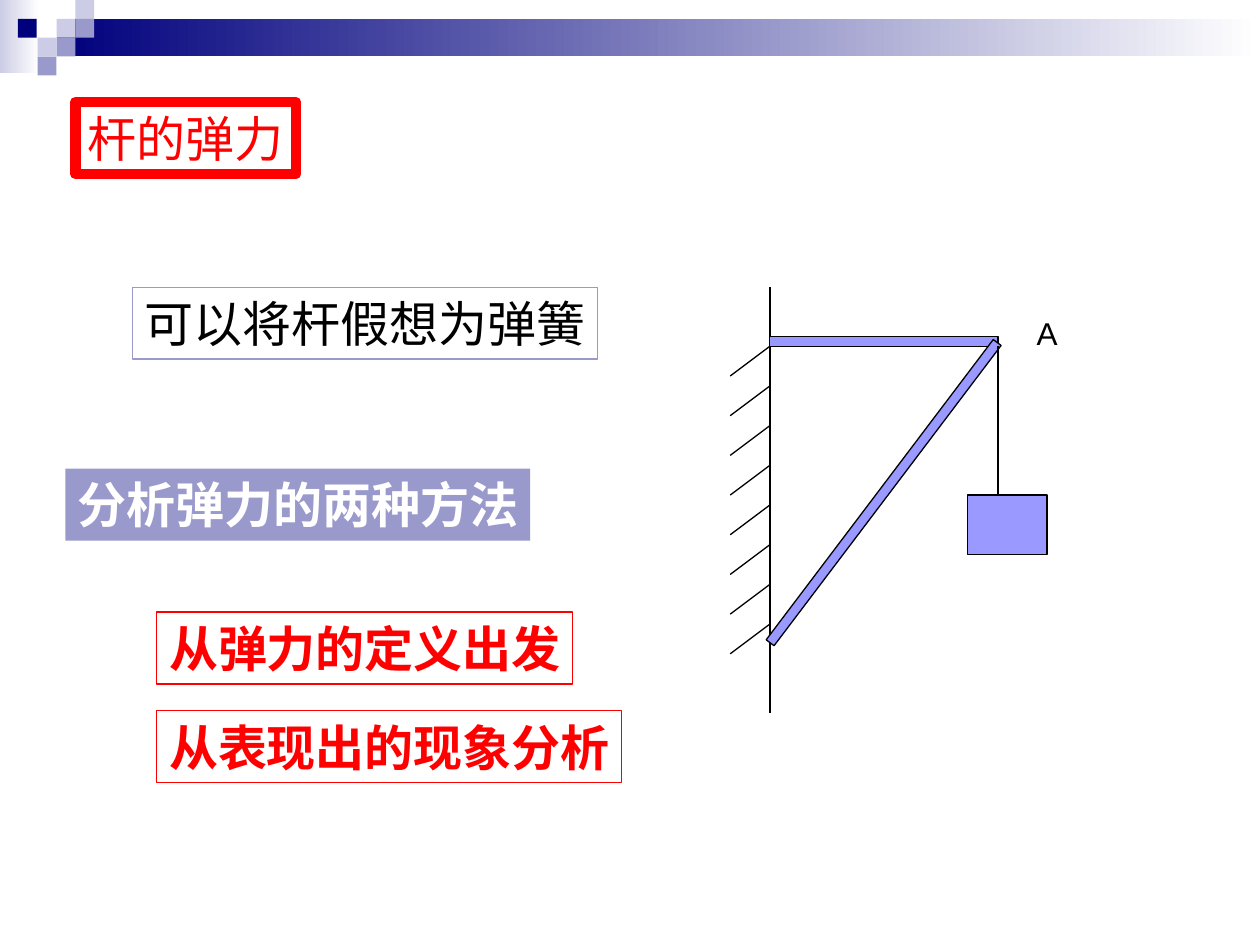
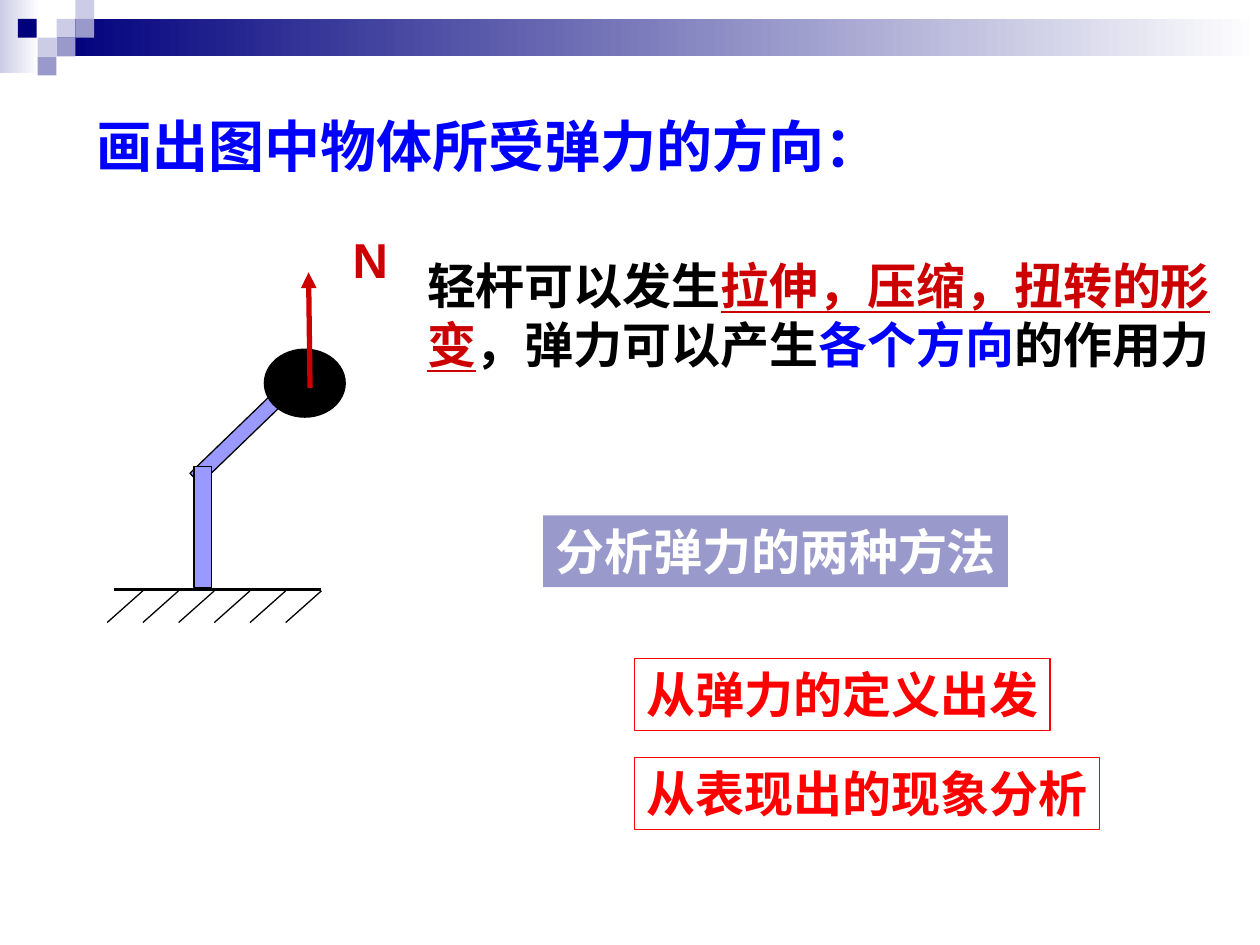
import dataclasses

import pptx
import pptx.dml.color
import pptx.enum.shapes
import pptx.enum.text
import pptx.oxml
import pptx.oxml.ns
import pptx.util

Cm = pptx.util.Cm
Pt = pptx.util.Pt
FORM = pptx.enum.shapes.MSO_SHAPE


@dataclasses.dataclass(frozen=True)
class Theme:
    navy: str = "00007D"
    mid: str = "9999CC"
    pale: str = "CCCCE6"
    rod: str = "9999FF"
    red: str = "FF0000"
    force: str = "CC0000"
    blue: str = "0000FF"
    black: str = "000000"
    white: str = "FFFFFF"
    latin: str = "Arial"
    serif: str = "Times New Roman"
    asian: str = "Noto Sans CJK SC"
    title: int = 32
    body: int = 28
    label: int = 18
    thin: float = 0.75


THEME = Theme()


def rgb(code):
    return pptx.dml.color.RGBColor.from_string(code)


def element(tag):
    space = pptx.oxml.ns.nsdecls("a")
    return pptx.oxml.parse_xml(f"<a:{tag} {space}/>")


# Shapes and lines
def block(pad, box, fill=None, line=None, width=THEME.thin, turn=0,
          form=FORM.RECTANGLE):
    shape = pad.add_shape(form, *map(Cm, box))
    shape.shadow.inherit = False
    shape.rotation = turn
    if fill:
        shape.fill.solid()
        shape.fill.fore_color.rgb = rgb(fill)
    else:
        shape.fill.background()
    if line:
        shape.line.color.rgb = rgb(line)
        shape.line.width = Pt(width)
    else:
        shape.line.fill.background()
    return shape


def fade(pad, box, start):
    shape = block(pad, box)
    shape.fill.gradient()
    shape.fill.gradient_angle = 0
    for stop, code in zip(shape.fill.gradient_stops, (start, THEME.white)):
        stop.color.rgb = rgb(code)


def part(pad, box, turn=0):
    return block(pad, box, THEME.rod, THEME.black, turn=turn)


def stroke(pad, start, end, color=THEME.black, width=THEME.thin, arrow=False):
    kind = pptx.enum.shapes.MSO_CONNECTOR.STRAIGHT
    line = pad.add_connector(kind, *map(Cm, start + end))
    line.line.color.rgb = rgb(color)
    line.line.width = Pt(width)
    if arrow:
        tip = element("tailEnd")
        tip.set("type", "triangle")
        line.line._get_or_add_ln().append(tip)
    line._element.spPr.append(element("effectLst"))


def hatch(pad, start, step, slant, count):
    for i in range(count):
        x, y = start[0] + i * step[0], start[1] + i * step[1]
        stroke(pad, (x, y), (x + slant[0], y + slant[1]))


# Text
def style(run, size, color, bold, face, under=False):
    font = run.font
    font.size = Pt(size)
    font.bold = bold
    font.name = face
    font.color.rgb = rgb(color)
    if under:
        font.underline = True
    asian = element("ea")
    asian.set("typeface", THEME.asian)
    font._element.find(pptx.oxml.ns.qn("a:latin")).addnext(asian)


def write(shape, text, color, size=THEME.body, bold=True, face=THEME.latin,
          wrap=False):
    frame = shape.text_frame
    frame.text = text
    frame.word_wrap = wrap
    frame.vertical_anchor = pptx.enum.text.MSO_ANCHOR.TOP
    para = frame.paragraphs[0]
    para.alignment = pptx.enum.text.PP_ALIGN.LEFT
    for run in para.runs:
        style(run, size, color, bold, face)
    return para


def label(pad, box, text, color, **look):
    return write(pad.add_textbox(*map(Cm, box)), text, color, **look)


# Parts both slides share
def header(pad):
    unit = 0.38
    fade(pad, (0, 0, 0.79, 1.47), THEME.pale)
    fade(pad, (3 * unit, unit, 25.4 - 3 * unit, 2 * unit), THEME.navy)
    tiles = [(3, 1, THEME.pale), (4, 0, THEME.pale), (4, 1, THEME.mid),
             (2, 2, THEME.pale), (0.95, 1, THEME.navy), (3, 2, THEME.mid),
             (2, 3, THEME.mid)]
    for col, row, color in tiles:
        block(pad, (col * unit, row * unit, unit, unit), color)


def methods(pad, left, top):
    head = block(pad, (left, top, 9.37, 1.45), THEME.mid)
    write(head, "分析弹力的两种方法", THEME.white)
    items = [("从弹力的定义出发", 2.89, 8.38), ("从表现出的现象分析", 4.88, 9.37)]
    for text, drop, width in items:
        box = (left + 1.84, top + drop, width, 1.45)
        write(block(pad, box, line=THEME.red), text, THEME.red)


# Figures
def bracket(pad):
    wall, tip = 15.52, 20.12
    stroke(pad, (wall, 5.79), (wall, 14.38))
    hatch(pad, (wall, 6.98), (0, 0.8), (-0.8, 0.6), 8)
    part(pad, (wall, 6.78, 4.6, 0.2))
    part(pad, (14.02, 9.83, 7.59, 0.2), 307.1)
    stroke(pad, (tip, 6.98), (tip, 9.98))
    part(pad, (19.51, 9.98, 1.6, 1.2))
    label(pad, (20.65, 6.2, 0.91, 1.02), "A", THEME.black,
          size=THEME.label, bold=False)


def stand(pad):
    hatch(pad, (2.88, 11.91), (0.72, 0), (-0.72, 0.64), 6)
    stroke(pad, (2.29, 11.88), (6.48, 11.88), width=1.5)
    part(pad, (4.75, 7.37, 0.3, 2.69), 46)
    part(pad, (3.91, 9.4, 0.36, 2.44))
    block(pad, (5.33, 7.04, 1.63, 1.37), THEME.black, THEME.black,
          form=FORM.OVAL)


def force(pad):
    stroke(pad, (6.25, 7.82), (6.22, 5.49), THEME.force, 3, arrow=True)
    label(pad, (6.86, 4.5, 2.01, 1.45), "N", THEME.force, wrap=True)


# Slides
def rods(pad):
    header(pad)
    name = block(pad, (1.52, 2.06, 4.45, 1.45), line=THEME.red, width=6)
    write(name, "杆的弹力", THEME.red, bold=False)
    hint = block(pad, (2.67, 5.79, 9.37, 1.45), line=THEME.mid)
    write(hint, "可以将杆假想为弹簧", THEME.black, bold=False)
    bracket(pad.add_group_shape().shapes)
    methods(pad, 1.32, 9.45)


def ball(pad):
    header(pad)
    stand(pad.add_group_shape().shapes)
    label(pad, (1.7, 2.13, 20.78, 1.63), "画出图中物体所受弹力的方向：",
          THEME.blue, size=THEME.title, face=THEME.serif, wrap=True)
    force(pad.add_group_shape().shapes)
    para = label(pad, (8.36, 5.03, 17.04, 2.64), "轻杆可以发生",
                 THEME.black, face=THEME.asian, wrap=True)
    rest = [("拉伸，压缩，扭转的形变", THEME.force, True),
            ("，弹力可以产生", THEME.black, False),
            ("各个方向", THEME.blue, False),
            ("的作用力", THEME.black, False)]
    for text, color, under in rest:
        run = para.add_run()
        run.text = text
        style(run, THEME.body, color, True, THEME.asian, under)
    methods(pad, 10.95, 10.39)


def main():
    deck = pptx.Presentation()
    deck.slide_width = Cm(25.4)
    deck.slide_height = Cm(19.05)
    for build in (rods, ball):
        build(deck.slides.add_slide(deck.slide_layouts[6]).shapes)
    deck.save("out.pptx")


if __name__ == "__main__":
    main()
